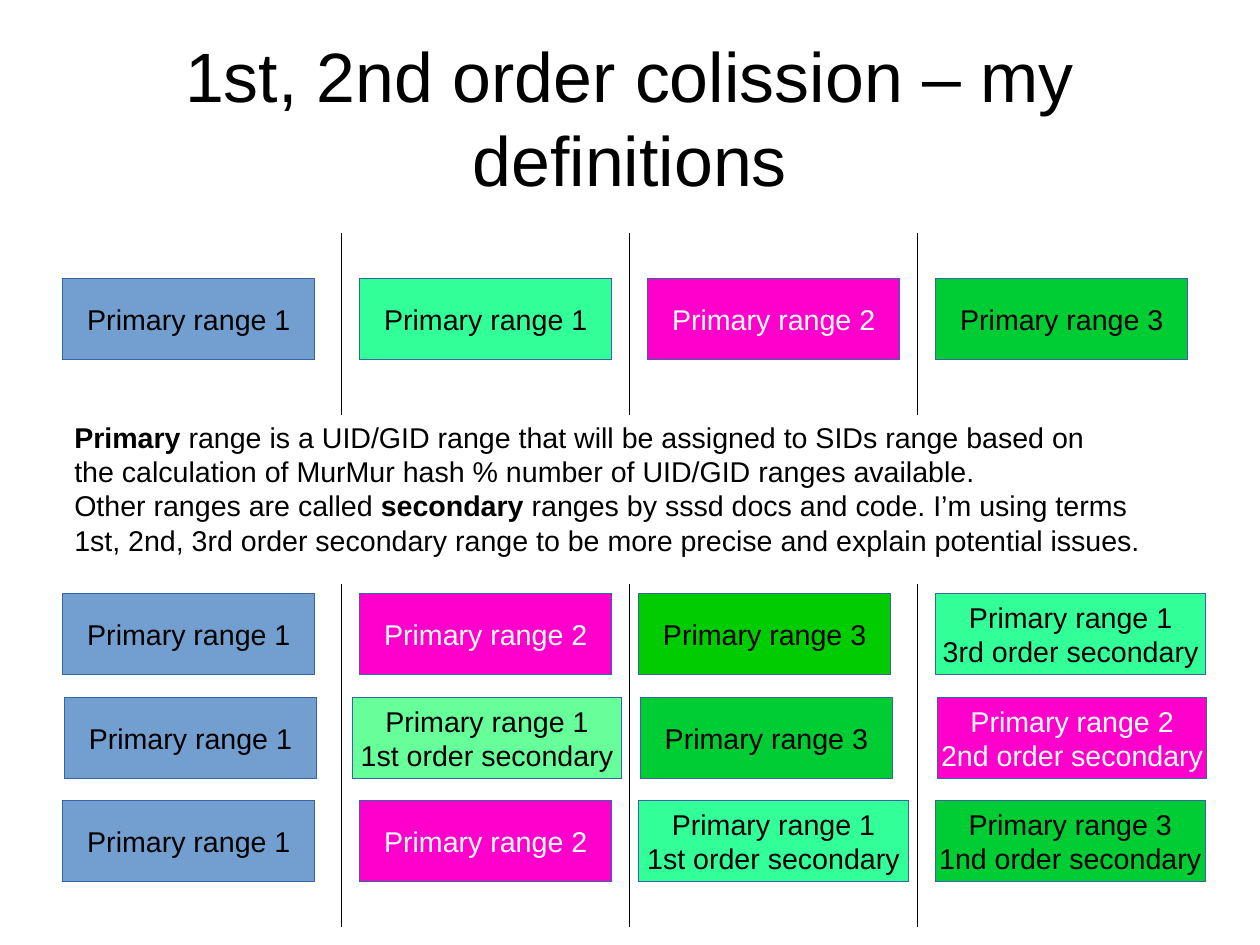
"""Build the slide on first and second order range collisions."""
from lxml import etree
from pptx import Presentation
from pptx.dml.color import RGBColor
from pptx.enum.shapes import MSO_CONNECTOR, MSO_SHAPE
from pptx.enum.text import MSO_ANCHOR, PP_ALIGN
from pptx.oxml.ns import qn
from pptx.util import Pt

RECT = MSO_SHAPE.RECTANGLE
LINE = MSO_CONNECTOR.STRAIGHT
MID = MSO_ANCHOR.MIDDLE
LEFT, CENTER = PP_ALIGN.LEFT, PP_ALIGN.CENTER

FONT = "Arial"
COLORS = {
    "black": "000000", "white": "FFFFFF", "edge": "3465A4",
    "blue": "729FCF", "mint": "33FF99", "lime": "66FF99",
    "pink": "FF00CC", "green": "00CC33", "leaf": "00CC00",
}
TITLE = "1st, 2nd order colission – my definitions"
NOTES = [
    [("Primary", True),
     (" range is a UID/GID range that will be assigned to SIDs range based on", False)],
    [("the calculation of MurMur hash % number of UID/GID ranges available.", False)],
    [("Other ranges are called ", False), ("secondary", True),
     (" ranges by sssd docs and code. I’m using terms", False)],
    [("1st, 2nd, 3rd order secondary range to be more precise and explain potential issues.",
      False)],
]
ROWS = [
    (175.5, (39.6, 226.6, 408, 589.5),
     [(1, "", "blue"), (1, "", "mint"), (2, "", "pink"), (3, "", "green")]),
    (374.1, (39.6, 226.6, 402.3, 589.5),
     [(1, "", "blue"), (2, "", "pink"), (3, "", "leaf"), (1, "3rd", "mint")]),
    (439.3, (40.6, 221.8, 403.4, 590.4),
     [(1, "", "blue"), (1, "1st", "lime"), (3, "", "green"), (2, "2nd", "pink")]),
    (504.4, (39.6, 226.6, 402.3, 589.2),
     [(1, "", "blue"), (2, "", "pink"), (1, "1st", "mint"), (3, "1nd", "green")]),
]
SLIM, WIDE, HIGH = 158.7, 169.9, 51
SPANS = [(147.4, 260.8), (368.5, 583.9)]
FIRST, STEP, COUNT = 215.4, 181.4, 3
HAIR = 0.01


def color(name):
    return RGBColor.from_string(COLORS[name])


def style(frame, size, align, tint="black"):
    for para in frame.paragraphs:
        para.alignment = align
        font = para.font
        font.name, font.size = FONT, Pt(size)
        font.color.rgb = color(tint)


def add_title(slide):
    title = slide.shapes.title
    title.left, title.top = Pt(39.7), Pt(23.7)
    title.width, title.height = Pt(714.3), Pt(99.4)
    frame = title.text_frame
    frame.text = TITLE
    frame.word_wrap = True
    frame.vertical_anchor = MID
    frame.margin_left = frame.margin_right = 0
    frame.margin_top = frame.margin_bottom = 0
    style(frame, 44, CENTER)


def add_notes(slide):
    box = slide.shapes.add_textbox(Pt(39.7), Pt(260.8), Pt(686.2), Pt(102.2))
    frame = box.text_frame
    frame.word_wrap = True
    for i, parts in enumerate(NOTES):
        para = frame.add_paragraph() if i else frame.paragraphs[0]
        for text, bold in parts:
            run = para.add_run()
            run.text = text
            run.font.bold = bold
    style(frame, 18, LEFT)


def add_line(slide, x, top, end):
    line = slide.shapes.add_connector(LINE, Pt(x), Pt(top), Pt(x), Pt(end))
    line.line.color.rgb = color("black")
    line.line.width = Pt(HAIR)
    etree.SubElement(line._element.spPr, qn("a:effectLst"))


def add_range(slide, x, y, num, order, fill):
    width = WIDE if order else SLIM
    box = slide.shapes.add_shape(RECT, Pt(x), Pt(y), Pt(width), Pt(HIGH))
    box.shadow.inherit = False
    box.fill.solid()
    box.fill.fore_color.rgb = color(fill)
    box.line.color.rgb = color("edge")
    box.line.width = Pt(HAIR)
    frame = box.text_frame
    label = f"Primary range {num}"
    frame.text = f"{label}\n{order} order secondary" if order else label
    frame.word_wrap = False
    frame.vertical_anchor = MID
    style(frame, 18, CENTER, "white" if fill == "pink" else "black")


def main():
    deck = Presentation()
    deck.slide_width, deck.slide_height = Pt(793.7), Pt(595.28)
    slide = deck.slides.add_slide(deck.slide_layouts[5])
    add_title(slide)
    add_notes(slide)
    for i in range(COUNT):
        for top, end in SPANS:
            add_line(slide, FIRST + i * STEP, top, end)
    for y, lefts, ranges in ROWS:
        for x, cell in zip(lefts, ranges):
            add_range(slide, x, y, *cell)
    deck.save("out.pptx")


if __name__ == "__main__":
    main()
